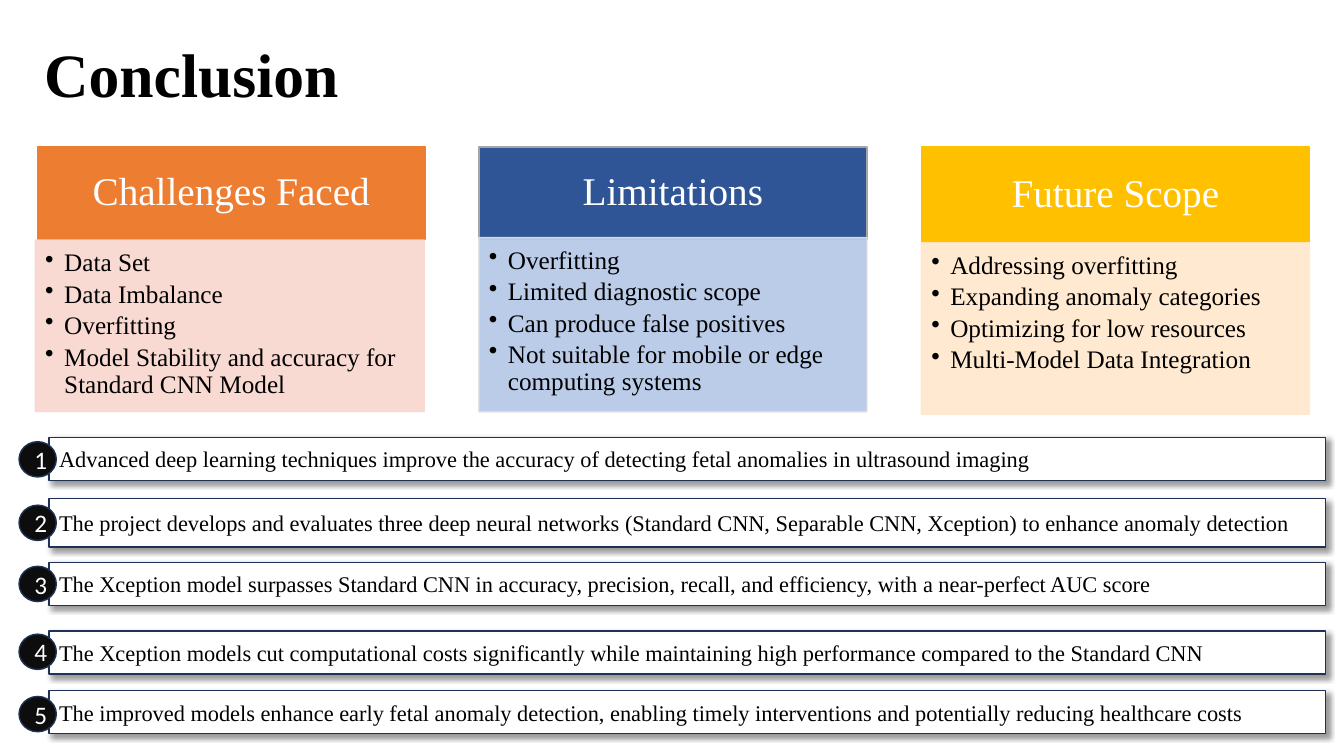
"""Build the Conclusion slide with three topic cards and five numbered findings."""
import dataclasses
import typing

import lxml.etree
import pptx
import pptx.dml.color
import pptx.enum.shapes
import pptx.enum.text
import pptx.oxml.ns
import pptx.util

Cm = pptx.util.Cm
Pt = pptx.util.Pt
Align = pptx.enum.text.PP_ALIGN
Anchor = pptx.enum.text.MSO_ANCHOR
Preset = pptx.enum.shapes.MSO_SHAPE
qn = pptx.oxml.ns.qn


@dataclasses.dataclass(frozen=True)
class Theme:
    serif: str = "Times New Roman"
    sans: str = "Calibri"
    black: str = "000000"
    white: str = "FFFFFF"
    badge: str = "0D0D0D"
    outline: str = "1E3256"
    title_size: int = 44
    heading_size: int = 28
    body_size: int = 18
    finding_size: int = 16


@dataclasses.dataclass(frozen=True)
class Box:
    left: float
    top: float
    width: float
    height: float


@dataclasses.dataclass(frozen=True)
class Card:
    heading: str
    points: tuple[str, ...]
    head_box: Box
    body_box: Box
    head_fill: str
    head_line: str
    body_fill: str
    body_line: str


@dataclasses.dataclass(frozen=True)
class Finding:
    text: str
    top: float
    badge_top: float
    height: float = 1.09


THEME = Theme()
CARDS = (
    Card("Challenges Faced",
         ("Data Set", "Data Imbalance", "Overfitting",
          "Model Stability and accuracy for Standard CNN Model"),
         Box(0.94, 3.71, 9.78, 2.31), Box(0.89, 6.05, 9.8, 4.32),
         "ED7D31", "ED7D31", "F8D7CE", "F8D7CE"),
    Card("Limitations",
         ("Overfitting", "Limited diagnostic scope", "Can produce false positives",
          "Not suitable for mobile or edge computing systems"),
         Box(12.07, 3.71, 9.78, 2.31), Box(12.07, 5.99, 9.78, 4.39),
         "2F5597", "A5A5A5", "B4C7E7", "E1E1E1"),
    Card("Future Scope",
         ("Addressing overfitting", "Expanding anomaly categories",
          "Optimizing for low resources", "Multi-Model Data Integration"),
         Box(23.22, 3.71, 9.78, 2.41), Box(23.22, 6.12, 9.78, 4.32),
         "FFC000", "FFC000", "FFE8CC", "FFE8CC"),
)
FINDINGS = (
    Finding("Advanced deep learning techniques improve the accuracy of detecting "
            "fetal anomalies in ultrasound imaging", 11.02, 11.13),
    Finding("The project develops and evaluates three deep neural networks (Standard CNN, "
            "Separable CNN, Xception) to enhance anomaly detection", 12.57, 12.73, 1.22),
    Finding("The Xception model surpasses Standard CNN in accuracy, precision, recall, "
            "and efficiency, with a near-perfect AUC score", 14.17, 14.27),
    Finding("The Xception models cut computational costs significantly while maintaining "
            "high performance compared to the Standard CNN", 15.9, 15.98),
    Finding("The improved models enhance early fetal anomaly detection, enabling timely "
            "interventions and potentially reducing healthcare costs", 17.4, 17.55),
)


def assign(target: typing.Any, values: dict[str, typing.Any]) -> None:
    for name, value in values.items():
        setattr(target, name, value)


def place(box: Box) -> dict[str, int]:
    return {name: Cm(value) for name, value in dataclasses.asdict(box).items()}


def add_block(slide: typing.Any, preset: typing.Any, box: Box, fill: str, line: str,
              anchor: typing.Any = Anchor.MIDDLE,
              insets: tuple[float, ...] = (0.25, 0.13, 0.25, 0.13)) -> typing.Any:
    shape = slide.shapes.add_shape(preset, **place(box))
    shape.shadow.inherit = False
    shape.fill.solid()
    shape.fill.fore_color.rgb = pptx.dml.color.RGBColor.from_string(fill)
    shape.line.color.rgb = pptx.dml.color.RGBColor.from_string(line)
    shape.line.width = Pt(1)
    sides = ("margin_left", "margin_top", "margin_right", "margin_bottom")
    assign(shape.text_frame, {"word_wrap": True, "vertical_anchor": anchor}
           | {side: Cm(inset) for side, inset in zip(sides, insets)})
    return shape


def write(para: typing.Any, text: str, size: int, color: str,
          layout: dict[str, typing.Any], font: str = THEME.serif, bold: bool = False) -> None:
    assign(para, layout)
    span = para.add_run()
    span.text = text
    assign(span.font, {"name": font, "size": Pt(size), "bold": bold})
    span.font.color.rgb = pptx.dml.color.RGBColor.from_string(color)


def add_bullet(para: typing.Any) -> None:
    properties = para._p.get_or_add_pPr()
    assign_indent = {"marL": Cm(0.48), "indent": -Cm(0.48)}
    for name, value in assign_indent.items():
        properties.set(name, str(int(value)))
    lxml.etree.SubElement(properties, qn("a:buChar"), char="•")


def add_alpha(color: typing.Any, percent: int) -> None:
    lxml.etree.SubElement(color, qn("a:alpha"), val=str(percent * 1000))


def add_shadow(shape: typing.Any) -> None:
    effects = shape.element.spPr.find(qn("a:effectLst"))
    shadow = lxml.etree.SubElement(
        effects, qn("a:outerShdw"), blurRad=str(int(Pt(4))), dist=str(int(Pt(3))),
        dir=str(45 * 60000), algn="tl", rotWithShape="0")
    add_alpha(lxml.etree.SubElement(shadow, qn("a:srgbClr"), val=THEME.black), 40)


def add_card(slide: typing.Any, card: Card) -> None:
    head = add_block(slide, Preset.RECTANGLE, card.head_box, card.head_fill, card.head_line,
                     insets=(0.56, 0.3, 0.56, 0.3))
    write(head.text_frame.paragraphs[0], card.heading, THEME.heading_size, THEME.white,
          {"alignment": Align.CENTER, "line_spacing": 0.9})
    body = add_block(slide, Preset.RECTANGLE, card.body_box, card.body_fill, card.body_line,
                     Anchor.TOP, (0.25, 0.25, 0.36, 0.41))
    for color in list(body.element.spPr.iter(qn("a:srgbClr"))):
        add_alpha(color, 90)
    for index, point in enumerate(card.points):
        frame = body.text_frame
        para = frame.add_paragraph() if index else frame.paragraphs[0]
        add_bullet(para)
        write(para, point, THEME.body_size, THEME.black,
              {"level": 1, "alignment": Align.LEFT, "line_spacing": 0.9, "space_after": Pt(3)})


def add_finding(slide: typing.Any, number: int, finding: Finding) -> None:
    bar = add_block(slide, Preset.RECTANGLE, Box(1.24, finding.top, 32.16, finding.height),
                    THEME.white, THEME.outline)
    add_shadow(bar)
    write(bar.text_frame.paragraphs[0], finding.text, THEME.finding_size, THEME.black,
          {"alignment": Align.LEFT})
    badge = add_block(slide, Preset.OVAL, Box(0.48, finding.badge_top, 0.94, 0.89),
                      THEME.badge, THEME.outline)
    write(badge.text_frame.paragraphs[0], str(number), THEME.body_size, THEME.white,
          {"alignment": Align.CENTER}, THEME.sans)


def main() -> None:
    deck = pptx.Presentation()
    assign(deck, {"slide_width": Cm(33.87), "slide_height": Cm(19.05)})
    page = deck.slides.add_slide(deck.slide_layouts[5])
    title = page.shapes.title
    assign(title, place(Box(0.86, 0.56, 29.21, 2.77)))
    assign(title.text_frame, {"word_wrap": True, "vertical_anchor": Anchor.MIDDLE,
                              "auto_size": pptx.enum.text.MSO_AUTO_SIZE.NONE})
    write(title.text_frame.paragraphs[0], "Conclusion", THEME.title_size, THEME.black,
          {"alignment": Align.LEFT, "line_spacing": 0.9}, bold=True)
    for card in CARDS:
        add_card(page, card)
    for number, finding in enumerate(FINDINGS, 1):
        add_finding(page, number, finding)
    deck.save("out.pptx")


if __name__ == "__main__":
    main()
